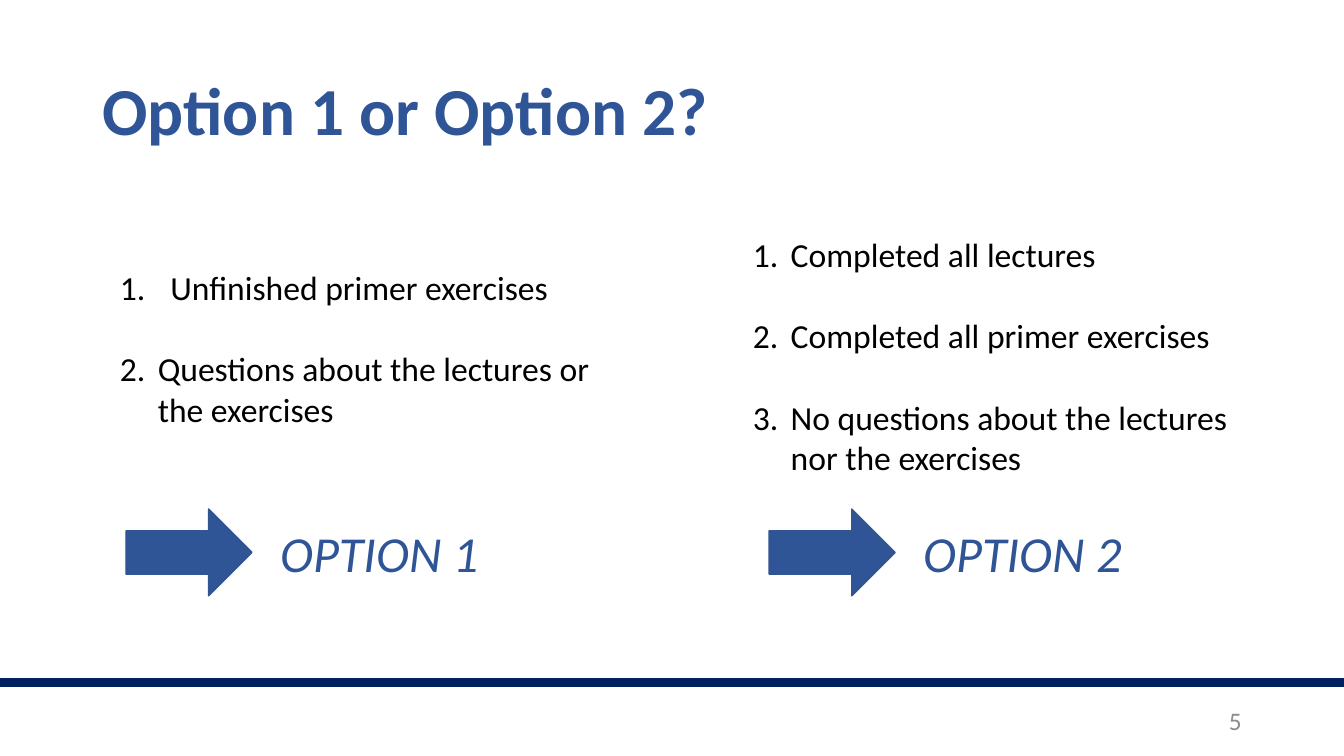
from lxml import etree
from pptx import Presentation
from pptx import util as u
from pptx.dml.color import RGBColor
from pptx.enum import shapes, text
from pptx.oxml.ns import qn

Pt = u.Pt


def rgb(value):
    return RGBColor.from_string(value)


def write(p, words, size=24, color="000000", bold=False, italic=False, align=text.PP_ALIGN.LEFT):
    p.alignment = align
    r = p.add_run()
    r.text = words
    r.font.name = "Calibri"
    r.font.size = Pt(size)
    r.font.color.rgb = rgb(color)
    r.font.bold = bold
    r.font.italic = italic


BLUE = "2F5597"

prs = Presentation()
prs.slide_width, prs.slide_height = Pt(960), Pt(540)
s = prs.slides.add_slide(prs.slide_layouts[3])

title = s.shapes.title
title.left, title.top, title.width, title.height = Pt(66), Pt(29), Pt(828), Pt(104)
tf = title.text_frame
tf.vertical_anchor = text.MSO_ANCHOR.MIDDLE
tf.auto_size = text.MSO_AUTO_SIZE.NONE
tf.paragraphs[0].line_spacing = 0.9
write(tf.paragraphs[0], "Option 1 or Option 2?", size=48, color=BLUE, bold=True)

options = [
    ("OPTION 1", 78.5, 187, 90, [
        ("Unfinished primer exercises", 36),
        ("Questions about the lectures or the exercises", 27),
    ]),
    ("OPTION 2", 530.6, 163.4, 549.4, [
        ("Completed all lectures", 27),
        ("Completed all primer exercises", 27),
        ("No questions about the lectures nor the exercises", 27),
    ]),
]

for number, (label, list_left, list_top, arrow_left, items) in enumerate(options, 1):
    body = s.placeholders[number]
    body.left, body.top, body.width, body.height = Pt(list_left), Pt(list_top), Pt(376.6), Pt(181)
    tf = body.text_frame
    tf.auto_size = text.MSO_AUTO_SIZE.NONE
    for i, (item, indent) in enumerate(items):
        p = tf.add_paragraph() if i else tf.paragraphs[0]
        p.space_before = Pt(29.3 if i else 0)
        write(p, item)
        pPr = p._p.get_or_add_pPr()
        pPr.set("marL", str(Pt(indent)))
        pPr.set("indent", str(-Pt(indent)))
        etree.SubElement(pPr, qn("a:buFont"), typeface="+mj-lt")
        etree.SubElement(pPr, qn("a:buAutoNum"), type="arabicPeriod")

    arrow = s.shapes.add_shape(shapes.MSO_SHAPE.RIGHT_ARROW, Pt(arrow_left), Pt(363.6), Pt(90), Pt(62))
    arrow.shadow.inherit = False
    arrow.fill.solid()
    arrow.fill.fore_color.rgb = rgb(BLUE)
    arrow.line.color.rgb = rgb("325491")
    arrow.line.width = Pt(1)

    box = s.shapes.add_textbox(Pt(arrow_left + 103), Pt(369.4), Pt(268), Pt(51))
    box.text_frame.word_wrap = True
    write(box.text_frame.paragraphs[0], label, size=36, color=BLUE, italic=True)

rule = s.shapes.add_connector(shapes.MSO_CONNECTOR.STRAIGHT, Pt(0), Pt(487.4), Pt(960), Pt(487.4))
rule.line.color.rgb = rgb("002060")
rule.line.width = Pt(6)
etree.SubElement(rule._element.spPr, qn("a:effectLst"))

page = s.shapes.add_textbox(Pt(678), Pt(500.5), Pt(216), Pt(28.8))
page.text_frame.word_wrap = True
page.text_frame.vertical_anchor = text.MSO_ANCHOR.MIDDLE
write(page.text_frame.paragraphs[0], "5", size=18, color="8C8C8C", align=text.PP_ALIGN.RIGHT)

prs.save("out.pptx")
